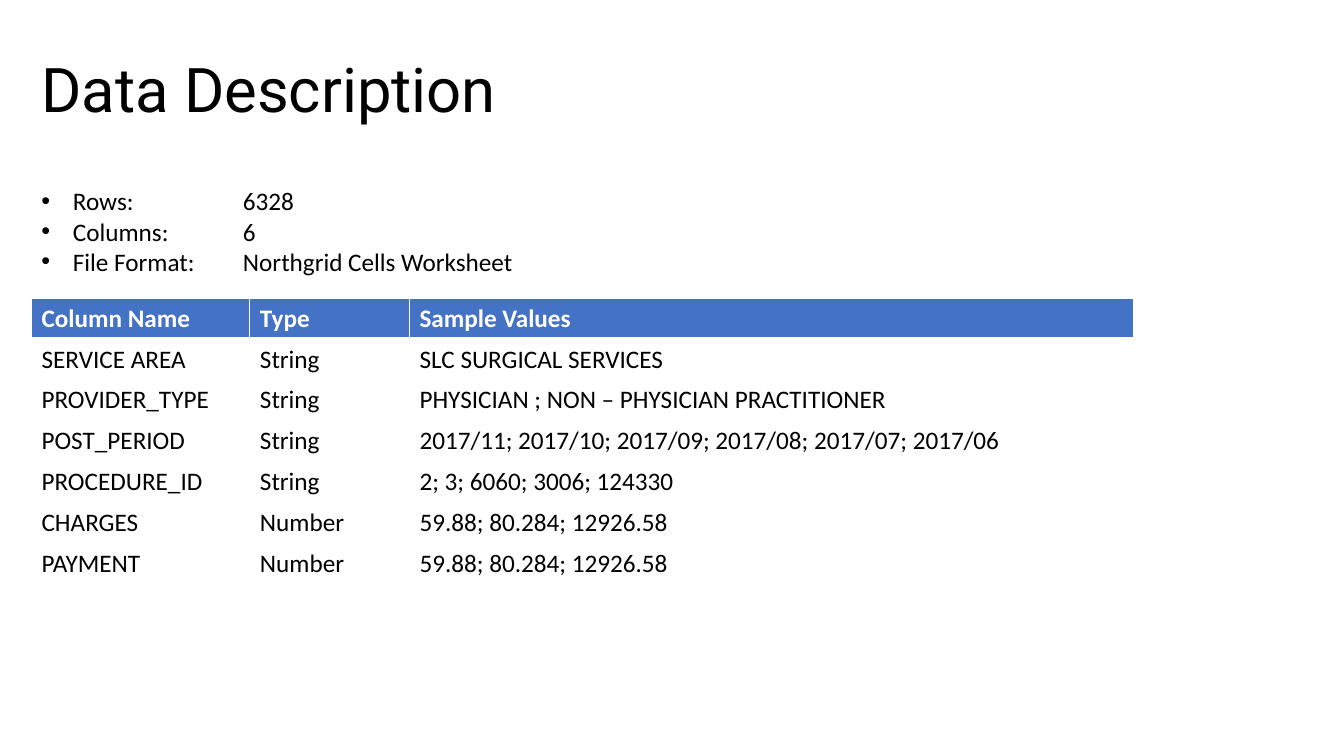
from dataclasses import dataclass
from lxml import etree
from pptx import Presentation
from pptx import util as u
from pptx.dml import color
from pptx.enum import text
from pptx.oxml import ns

Pt = u.Pt


@dataclass(frozen=True)
class Theme:
    """Colours, fonts and type sizes of the slide."""
    ink: str = "000000"
    paper: str = "FFFFFF"
    accent: str = "4472C4"
    head: str = "Roboto"
    body: str = "Calibri"
    big: int = 44
    base: int = 18


T = Theme()
FACTS = [
    ("Rows:", "6328"),
    ("Columns:", "6"),
    ("File Format:", "Northgrid Cells Worksheet"),
]
ROWS = [
    ("Column Name", "Type", "Sample Values"),
    ("SERVICE AREA", "String", "SLC SURGICAL SERVICES"),
    ("PROVIDER_TYPE", "String", "PHYSICIAN ; NON – PHYSICIAN PRACTITIONER"),
    ("POST_PERIOD", "String",
     "2017/11; 2017/10; 2017/09; 2017/08; 2017/07; 2017/06"),
    ("PROCEDURE_ID", "String", "2; 3; 6060; 3006; 124330"),
    ("CHARGES", "Number", "59.88; 80.284; 12926.58"),
    ("PAYMENT", "Number", "59.88; 80.284; 12926.58"),
]
WIDTHS = (156, 114, 517.5)


def rgb(code):
    """Turn a hex code into a colour."""
    return color.RGBColor.from_string(code)


def assign(item, values):
    """Set each named attribute of an item."""
    for name, value in values.items():
        setattr(item, name, value)


def node(parent, tag, **attrs):
    """Append a drawing element and return it."""
    return etree.SubElement(parent, ns.qn("a:" + tag), attrs)


def write(para, words, ink=T.ink, **form):
    """Add one styled run to a paragraph."""
    run = para.add_run()
    run.text = words
    assign(run.font, {"name": T.body, "size": Pt(T.base), **form})
    run.font.color.rgb = rgb(ink)


def frame(slide, box, anchor):
    """Add a wrapping text box and return its text frame."""
    area = slide.shapes.add_textbox(*map(Pt, box)).text_frame
    assign(area, {"word_wrap": True, "vertical_anchor": anchor})
    return area


def title(slide, box):
    """Place the heading in the middle of its box."""
    para = frame(slide, box, text.MSO_ANCHOR.MIDDLE).paragraphs[0]
    para.line_spacing = 0.9
    write(para, "Data Description", name=T.head, size=Pt(T.big))


def facts(slide, box, indent=22.5, stop=144):
    """List the file facts as bullets with values at a tab stop."""
    area = frame(slide, box, text.MSO_ANCHOR.TOP)
    for i, pair in enumerate(FACTS):
        para = area.add_paragraph() if i else area.paragraphs[0]
        prop = para._p.get_or_add_pPr()
        prop.set("marL", str(Pt(indent)))
        prop.set("indent", str(-Pt(indent)))
        node(prop, "buFont", typeface="Arial")
        node(prop, "buChar", char="•")
        node(node(prop, "tabLst"), "tab", pos=str(Pt(stop)), algn="l")
        write(para, "\t".join(pair))


def edge(cell, low):
    """Draw the cell borders, with the given bottom width."""
    prop = cell._tc.get_or_add_tcPr()
    for side, width in zip("LRTB", (1, 1, 1, low)):
        line = node(prop, "ln" + side, w=str(Pt(width)))
        node(node(line, "solidFill"), "srgbClr", val=T.paper)


def grid(slide, box):
    """Place the column table with a coloured header row."""
    table = slide.shapes.add_table(
        len(ROWS), len(WIDTHS), *map(Pt, box)).table
    for col, width in zip(table.columns, WIDTHS):
        col.width = Pt(width)
    for r, row in enumerate(ROWS):
        table.rows[r].height = Pt(box[3] / len(ROWS))
        for c, words in enumerate(row):
            cell, top = table.cell(r, c), r == 0
            edge(cell, 3 if top else 1)
            if top:
                cell.fill.solid()
                cell.fill.fore_color.rgb = rgb(T.accent)
            else:
                cell.fill.background()
            write(cell.text_frame.paragraphs[0], words,
                  T.paper if top else T.ink, bold=top)


def main():
    """Build and save the slide."""
    deck = Presentation()
    assign(deck, {"slide_width": Pt(960), "slide_height": Pt(540)})
    slide = deck.slides.add_slide(deck.slide_layouts[6])
    left = 22.5
    title(slide, (left, 13.5, 828, 104.5))
    grid(slide, (left, 213, sum(WIDTHS), 204.4))
    facts(slide, (left, 129, 420.5, 72.7))
    deck.save("out.pptx")


main()
